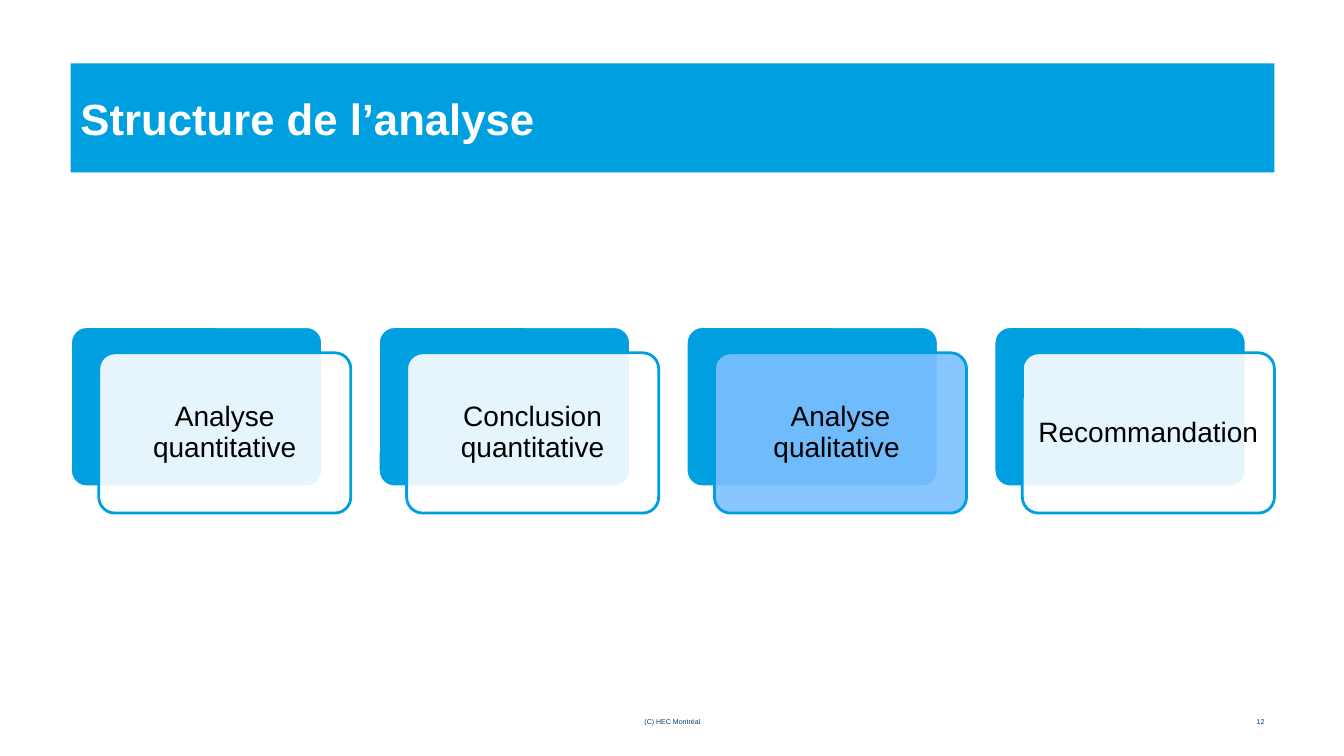
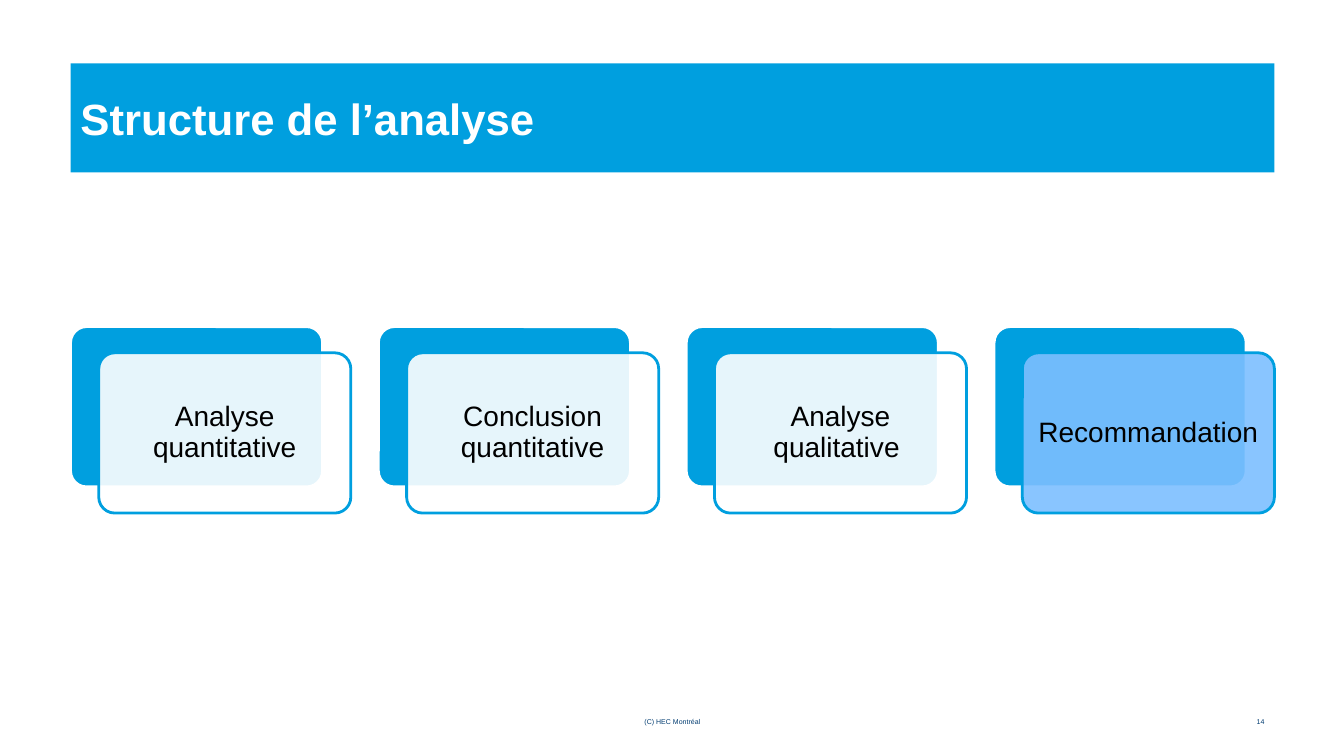
from pptx import Presentation
from pptx.dml.color import RGBColor
from pptx.enum.shapes import MSO_SHAPE as SHAPE
from pptx.enum.text import MSO_ANCHOR as ANCHOR, PP_ALIGN as ALIGN
from pptx.oxml.ns import qn
from pptx.util import Inches, Pt

BLUE, HIGHLIGHT, NAVY = "009FDF", "7DBFFF", "003C71"
WHITE, BLACK = "FFFFFF", "000000"
FONT = "Arial"
MARGIN, CONTENT_W = 0.7, 11.94
TITLE = "Structure de l’analyse"
STEPS = ["Analyse quantitative", "Conclusion quantitative",
         "Analyse qualitative ", "Recommandation"]
SLIDES = [("12", 2), ("14", 3)]


def rgb(value):
    """Return the colour for a hex string."""
    return RGBColor.from_string(value)


def set_text(sp, text, size, color, align, bold=False, spacing=None):
    """Write one vertically centred, formatted paragraph into a shape."""
    tf = sp.text_frame
    tf.word_wrap = True
    tf.vertical_anchor = ANCHOR.MIDDLE
    p = tf.paragraphs[0]
    p.text = text
    p.alignment = align
    p.line_spacing = spacing
    font = p.runs[0].font
    font.name, font.size, font.bold = FONT, Pt(size), bold
    font.color.rgb = rgb(color)


def add_box(slide, kind, x, y, w, h, fill, line=None, opacity=None):
    """Add a filled preset shape with an optional outline and opacity."""
    sp = slide.shapes.add_shape(kind, Inches(x), Inches(y), Inches(w), Inches(h))
    sp.shadow.inherit = False
    sp.fill.solid()
    sp.fill.fore_color.rgb = rgb(fill)
    if opacity is not None:
        color = sp._element.spPr.find(qn("a:solidFill"))[0]
        color.makeelement(qn("a:alpha"))
        alpha = color.makeelement(qn("a:alpha"), {"val": str(opacity * 1000)})
        color.append(alpha)
    if line:
        sp.line.color.rgb = rgb(line)
        sp.line.width = Pt(2)
    else:
        sp.line.fill.background()
    return sp


def add_title(slide, x, y, w, h):
    """Draw the title band."""
    sp = add_box(slide, SHAPE.RECTANGLE, x, y, w, h, BLUE)
    set_text(sp, TITLE, 31.2, WHITE, ALIGN.LEFT, bold=True)


def add_footer(slide, y, h, number):
    """Draw the copyright line and the slide number."""
    for x, w, text, align in [(4.56, 4.22, "(C) HEC Montréal", ALIGN.CENTER),
                              (11.96, 0.68, number, ALIGN.RIGHT)]:
        sp = slide.shapes.add_textbox(Inches(x), Inches(y), Inches(w), Inches(h))
        set_text(sp, text, 5, NAVY, align, spacing=0.9)


def add_card(slide, x, y, w, h, text, fill):
    """Draw a step as a translucent labelled card over a blue one."""
    dx, dy = 0.28, 0.26
    size = w - dx, h - dy
    back = add_box(slide, SHAPE.ROUNDED_RECTANGLE, x, y, *size, BLUE, WHITE)
    front = add_box(slide, SHAPE.ROUNDED_RECTANGLE, x + dx, y + dy, *size,
                    fill, BLUE, opacity=90)
    for sp in (back, front):
        sp.adjustments[0] = 0.1
    tf = front.text_frame
    tf.margin_left = tf.margin_right = Inches(0.08)
    tf.margin_top = tf.margin_bottom = Inches(0.08)
    set_text(front, text, 20, BLACK, ALIGN.CENTER, spacing=0.9)


def add_steps(slide, x, y, w, h, active):
    """Spread the step cards evenly over a row, highlighting the active one."""
    card_w = 2.78
    pitch = (w - card_w) / (len(STEPS) - 1)
    for i, text in enumerate(STEPS):
        fill = HIGHLIGHT if i == active else WHITE
        add_card(slide, x + i * pitch, y, card_w, h, text, fill)


def add_structure_slide(prs, number, active):
    """Add one overview slide with its active step."""
    slide = prs.slides.add_slide(prs.slide_layouts[6])
    add_footer(slide, 7.07, 0.18, number)
    add_title(slide, MARGIN, 0.63, CONTENT_W, 1.08)
    add_steps(slide, MARGIN, 3.24, CONTENT_W, 1.85, active)


def main():
    """Build and save the presentation."""
    prs = Presentation()
    prs.slide_width, prs.slide_height = Inches(13.33), Inches(7.5)
    for number, active in SLIDES:
        add_structure_slide(prs, number, active)
    prs.save("out.pptx")


if __name__ == "__main__":
    main()
